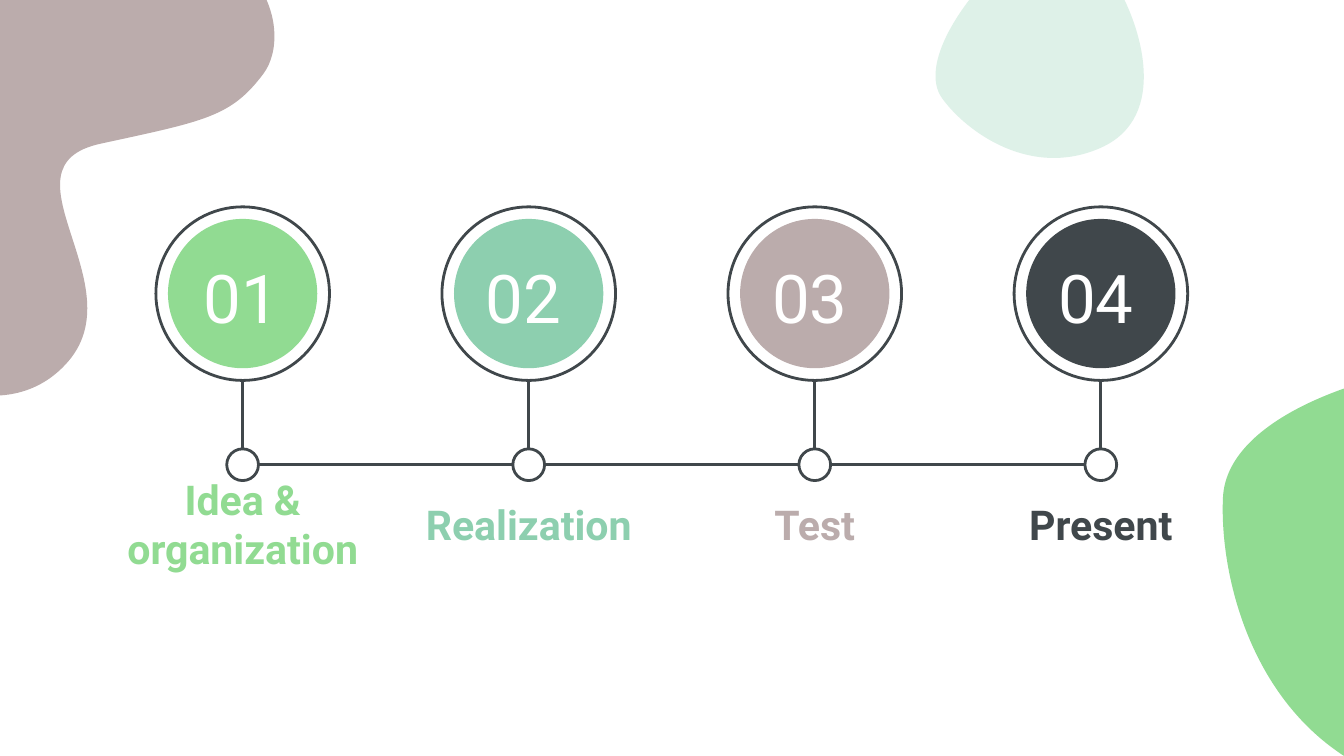
from lxml.etree import SubElement
from pptx import Presentation
from pptx.dml.color import RGBColor
from pptx.enum.shapes import MSO_CONNECTOR, MSO_SHAPE
from pptx.enum.text import MSO_ANCHOR, PP_ALIGN
from pptx.oxml.ns import qn
from pptx.util import Pt

WHITE, DARK, GREEN, MINT, TAUPE, PALE = "FFFFFF", "40474B", "91DB92", "8DCFAF", "BBACAC", "DEF1E8"

# Each outline is a start point followed by cubic curves of three points, in points.
PATCHES = [
    (GREEN, (655.2, 266.4), [
        (653, 311.8, 673.9, 398.9, 756.7, 421.2), (839.5, 443.5, 877.7, 342, 886.3, 295.2),
        (894.2, 247.7, 886.3, 187.9, 812.9, 190.8), (738.7, 194.4, 657.4, 221.8, 655.2, 266.4)]),
    (TAUPE, (141.1, 39.6), [
        (123.8, 62.6, 110.2, 64.8, 54, 77), (-2.9, 89.3, 74.2, 153.4, 35.3, 195.1),
        (-3.6, 237.6, -82.1, 193.7, -92.2, 133.9), (-103, 74.9, -46.1, -25.9, 47.5, -37.4),
        (141.1, -48.2, 158.4, 16.6, 141.1, 39.6)]),
    (PALE, (504.7, 52.6), [
        (517.7, 70.6, 552.2, 95.8, 589.7, 79.2), (627.1, 62.6, 610.6, 13, 599, -6.5),
        (588.2, -26.6, 566.6, -46.8, 540.7, -23), (514.1, 0.7, 492.5, 35.3, 504.7, 52.6)]),
]

# Number, label, colour, width of the number box.
STEPS = [("01", "Idea & organization", GREEN, 56), ("02", "Realization", MINT, 60),
         ("03", "Test", TAUPE, 60), ("04", "Present", DARK, 60)]
FIRST_X, STEP_X = 130, 153.25
RING_Y, RING_SIZE, DISC_SIZE = 157.3, 93, 80
NODE_Y, NODE_SIZE = 249, 17


def color(value):
    """Turn a hex string into a colour."""
    return RGBColor.from_string(value)


class TimelineSlide:
    """Hold the style and the current slide, and draw its elements."""

    def __init__(self, slide, font="Roboto", line_color=DARK, line_width=1.5):
        """Keep the slide and the shared style."""
        self.shapes = slide.shapes
        self.font = font
        self.line_color = line_color
        self.line_width = line_width

    def paint(self, shape, fill=None, outlined=False):
        """Set fill and outline, without a shadow."""
        shape.shadow.inherit = False
        if fill:
            shape.fill.solid()
            shape.fill.fore_color.rgb = color(fill)
        else:
            shape.fill.background()
        if outlined:
            self.stroke(shape.line)
        else:
            shape.line.fill.background()

    def stroke(self, line):
        """Apply the shared line style."""
        line.color.rgb = color(self.line_color)
        line.width = Pt(self.line_width)

    def patch(self, fill, start, curves):
        """Draw a closed outline of cubic curves."""
        builder = self.shapes.build_freeform(Pt(start[0]), Pt(start[1]), scale=1.0)
        builder.add_line_segments(
            [(Pt(x), Pt(y)) for curve in curves for x, y in zip(curve[::2], curve[1::2])], close=True)
        shape = builder.convert_to_shape()
        outline = next(shape.element.iter(qn("a:path")))
        corners = outline.findall(qn("a:lnTo"))
        closing = outline.find(qn("a:close"))
        for index in range(0, len(corners), 3):
            curve = SubElement(outline, qn("a:cubicBezTo"))
            for corner in corners[index:index + 3]:
                curve.append(corner[0])
                outline.remove(corner)
        outline.append(closing)
        self.paint(shape, fill)

    def circle(self, x, y, size, fill=None, outlined=False):
        """Draw a circle around a centre."""
        shape = self.shapes.add_shape(
            MSO_SHAPE.OVAL, Pt(x - size / 2), Pt(y - size / 2), Pt(size), Pt(size))
        self.paint(shape, fill, outlined)

    def line(self, x1, y1, x2, y2):
        """Draw a straight connector."""
        connector = self.shapes.add_connector(
            MSO_CONNECTOR.STRAIGHT, Pt(x1), Pt(y1), Pt(x2), Pt(y2))
        self.stroke(connector.line)
        SubElement(connector.element.spPr, qn("a:effectLst"))

    def text(self, content, x, top, width, height, *, size, fill, bold=False,
             align=PP_ALIGN.LEFT, anchor=MSO_ANCHOR.TOP, inset=3.6):
        """Add a text box centred on x."""
        box = self.shapes.add_textbox(Pt(x - width / 2), Pt(top), Pt(width), Pt(height))
        frame = box.text_frame
        frame.word_wrap = True
        frame.vertical_anchor = anchor
        frame.margin_left = frame.margin_right = Pt(7.2)
        frame.margin_top = frame.margin_bottom = Pt(inset)
        paragraph = frame.paragraphs[0]
        paragraph.alignment = align
        run = paragraph.add_run()
        run.text = content
        run.font.name = self.font
        run.font.size = Pt(size)
        run.font.bold = bold
        run.font.color.rgb = color(fill)

    def step(self, x, number, label, fill, number_width):
        """Draw one step of the timeline."""
        self.line(x, RING_Y + RING_SIZE / 2, x, NODE_Y - NODE_SIZE / 2)
        self.circle(x, RING_Y, RING_SIZE, outlined=True)
        self.circle(x, RING_Y, DISC_SIZE, fill)
        self.circle(x, NODE_Y, NODE_SIZE, WHITE, outlined=True)
        self.text(number, x, 134, number_width, 51, size=36, fill=WHITE)
        self.text(label, x, 263.5, 148.4, 34, size=22, fill=fill, bold=True,
                  align=PP_ALIGN.CENTER, anchor=MSO_ANCHOR.MIDDLE, inset=7.2)


def main():
    """Build and save the presentation."""
    presentation = Presentation()
    presentation.slide_width, presentation.slide_height = Pt(720), Pt(405)
    slide = presentation.slides.add_slide(presentation.slide_layouts[6])
    timeline = TimelineSlide(slide)
    for patch in PATCHES:
        timeline.patch(*patch)
    timeline.line(FIRST_X, NODE_Y, FIRST_X + STEP_X * (len(STEPS) - 1), NODE_Y)
    for index, step in enumerate(STEPS):
        timeline.step(FIRST_X + STEP_X * index, *step)
    presentation.save("out.pptx")


main()
